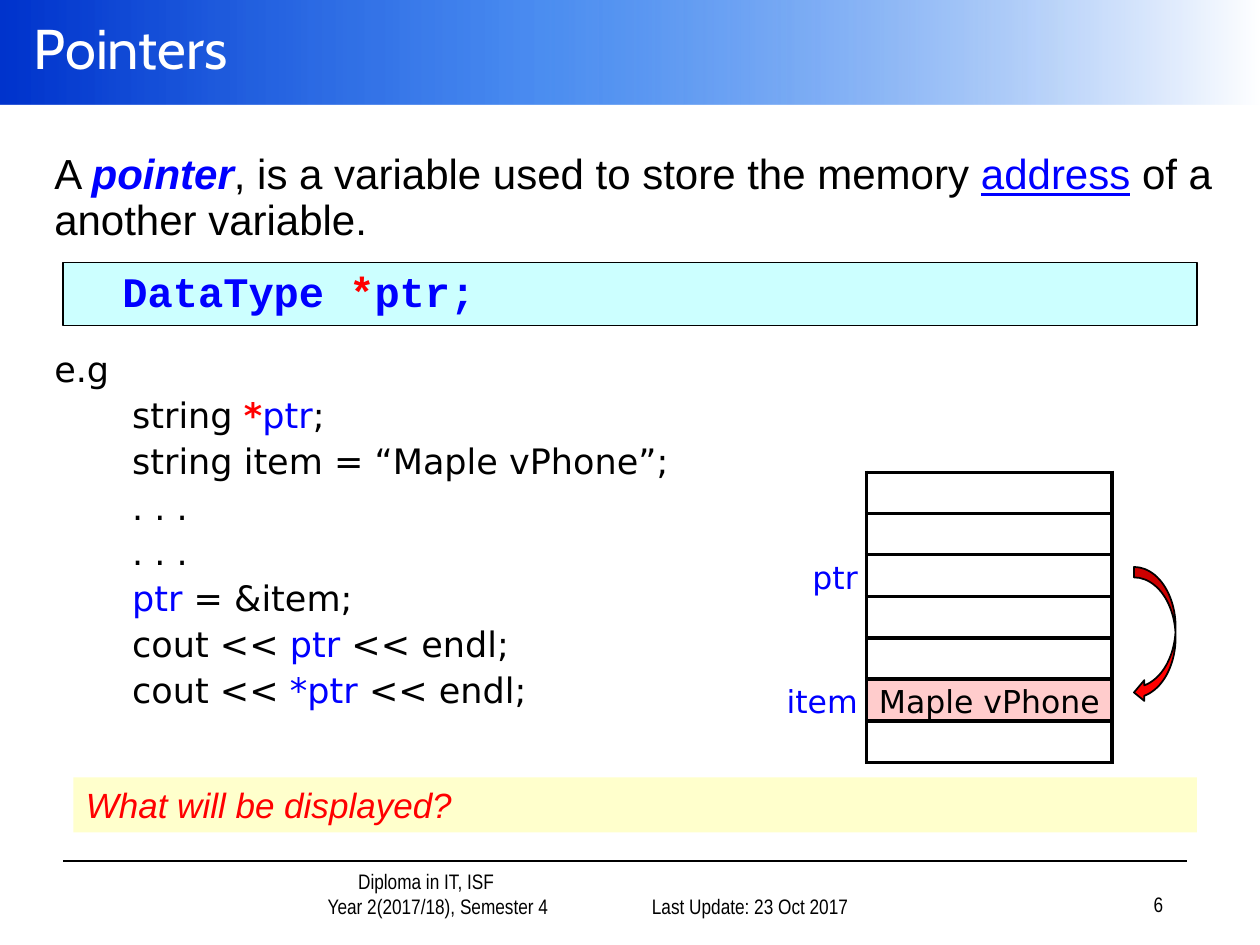
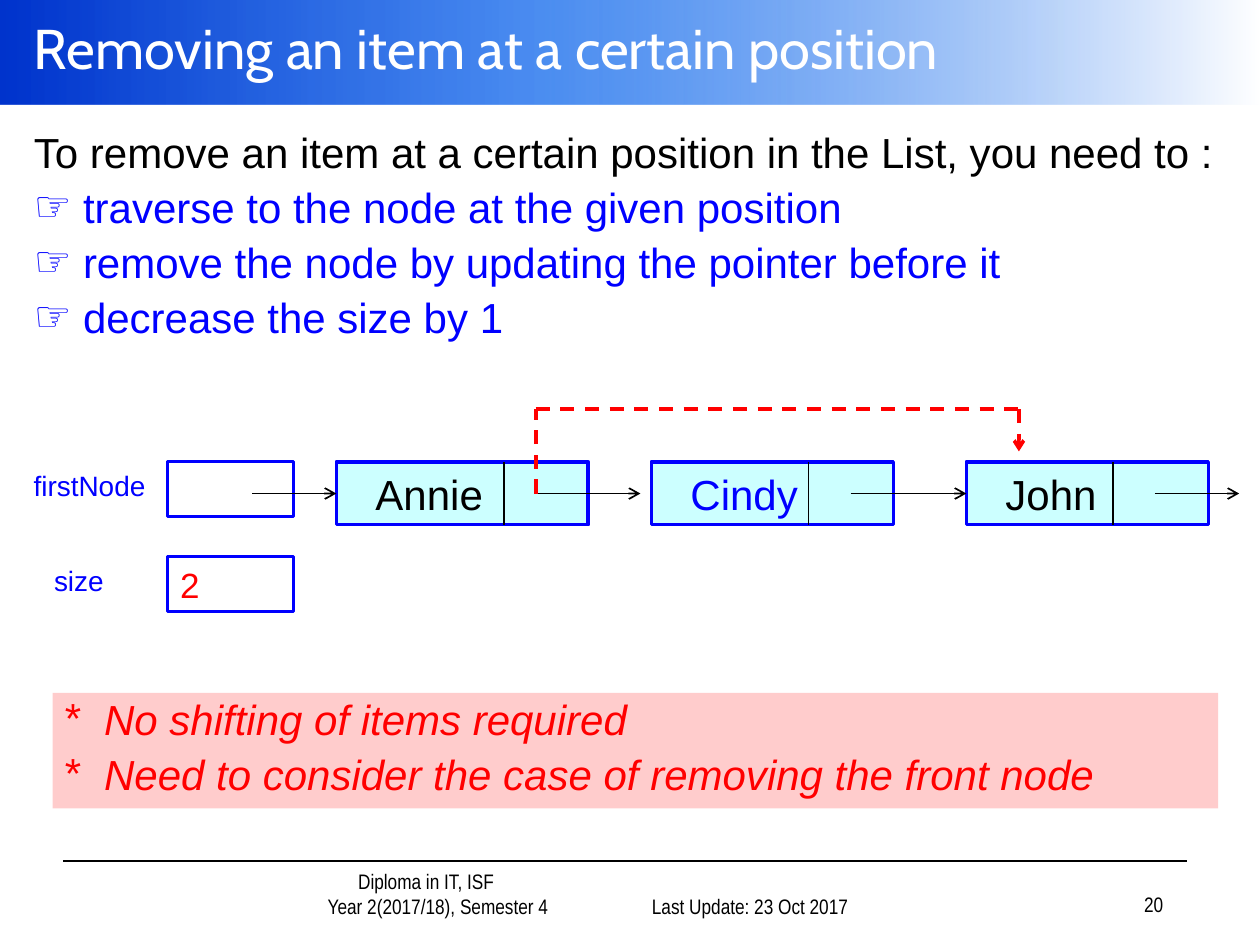
"""Build two lecture slides on pointers and linked lists."""
from lxml import etree
from pptx import Presentation
from pptx.dml.color import RGBColor as RGB
from pptx.enum.dml import MSO_LINE as Dash
from pptx.enum.shapes import MSO_CONNECTOR as Link, MSO_SHAPE as Kind
from pptx.enum.text import MSO_ANCHOR as Anchor, MSO_AUTO_SIZE as Fit, PP_ALIGN as Align
from pptx.oxml import parse_xml
from pptx.oxml.ns import nsdecls, qn
from pptx.util import Cm, Pt

HUES = {"black": "000000", "white": "FFFFFF", "blue": "0000FF", "red": "FF0000",
        "navy": "0033CC", "sky": "005EEB", "aqua": "CCFFFF", "cream": "FFFFCC",
        "pink": "FFCCCC"}
RGBS = {name: RGB.from_string(code) for name, code in HUES.items()}
LEFT = {"alignment": Align.LEFT}
LIST = {**LEFT, "line_spacing": 0.9, "space_before": Pt(5.5)}
CODE = {"marL": Cm(1.57), "space_before": Pt(4.65)}
HEAD = {"name": "Cabin", "size": Pt(32), "tint": "white"}
TEXT = {"name": "Arial", "size": Pt(24), "tint": "black"}
MONO = {"name": "DejaVu Sans", "size": Pt(20), "tint": "black"}
FOOT = {"name": "Arial Narrow", "size": Pt(12), "tint": "black"}
BLUE, RED = {"tint": "blue"}, {"tint": "red"}


def write(frame, rows, font, look=LEFT, anchor=Anchor.MIDDLE):
    frame.word_wrap = True
    frame.auto_size = Fit.NONE
    frame.vertical_anchor = anchor
    for num, row in enumerate(rows):
        para = frame.add_paragraph() if num else frame.paragraphs[0]
        props = para._p.get_or_add_pPr()
        form = {"marL": 0, "indent": 0, **look}
        for part in row:
            if isinstance(part, dict):
                form.update(part)
                continue
            words, extra = part if isinstance(part, tuple) else (part, {})
            run = para.add_run()
            run.text = words
            for key, value in {**font, **extra}.items():
                if key == "tint":
                    run.font.color.rgb = RGBS[value]
                else:
                    setattr(run.font, key, value)
        mark = form.pop("mark", None)
        for key, value in form.items():
            if key in ("marL", "indent"):
                props.set(key, str(int(value)))
            else:
                setattr(para, key, value)
        if mark:
            etree.SubElement(props, qn("a:buFont")).set("typeface", "Arial")
            etree.SubElement(props, qn("a:buChar")).set("char", mark)
        else:
            etree.SubElement(props, qn("a:buNone"))


def draw(slide, kind, box, fill=None, line=None, width=1, tail=False, dash=False):
    box = [Cm(size) for size in box]
    if kind == "line":
        shape = slide.shapes.add_connector(Link.STRAIGHT, *box)
    else:
        shape = slide.shapes.add_shape(kind, *box)
        shape.shadow.inherit = False
        if fill:
            shape.fill.solid()
            shape.fill.fore_color.rgb = RGBS[fill]
        else:
            shape.fill.background()
    if line:
        shape.line.color.rgb = RGBS[line]
        shape.line.width = Pt(width)
    else:
        shape.line.fill.background()
    if dash:
        shape.line.dash_style = Dash.DASH
    if tail:
        etree.SubElement(shape.line._get_or_add_ln(), qn("a:tailEnd")).set("type", "arrow")
    if kind == "line":
        etree.SubElement(shape._element.spPr, qn("a:effectLst"))
    return shape


deck = Presentation()
deck.slide_width, deck.slide_height = Cm(25.4), Cm(19.05)

pages = [
    ("Pointers", "6", (0.84, 2.97, 23.93, 12.7), [
        ["A ", ("pointer", {**BLUE, "bold": True, "italic": True}),
         ", is a variable used to store the memory ",
         ("address", {**BLUE, "underline": True}), " of a another variable."],
        [("e.g", MONO), {"space_before": Pt(61.5)}],
        [("string ", MONO), ("*", {**MONO, **RED, "bold": True}),
         ("ptr", {**MONO, **BLUE}), (";", MONO), CODE],
        [("string item = “Maple vPhone”;", MONO), CODE],
        [(". . .", MONO), CODE],
        [(". . .", MONO), CODE],
        [("ptr", {**MONO, **BLUE}), (" = &item;", MONO), CODE],
        *[[("cout << ", MONO), (name, {**MONO, **BLUE}), (" << endl;", MONO), CODE]
          for name in ("ptr", "*ptr")]]),
    ("Removing an item at a certain position", "20", (0.43, 2.54, 24.56, 5.92), [
        ["To remove an item at a certain position in the List, you need to :"],
        *[[(step, BLUE), {"mark": "☞", "marL": Cm(0.99), "indent": Cm(-0.99)}]
          for step in ("traverse to the node at the given position",
                       "remove the node by updating the pointer before it",
                       "decrease the size by 1")]]),
]
slides = []
for title, page, place, rows in pages:
    slide = deck.slides.add_slide(deck.slide_layouts[1])
    slides.append(slide)
    band = draw(slide, Kind.RECTANGLE, (0, 0, 25.4, 2.11))
    band.fill.gradient()
    band.fill.gradient_angle = 0
    stops = band._element.spPr.find(qn("a:gradFill")).find(qn("a:gsLst"))
    for stop in list(stops):
        stops.remove(stop)
    for spot, hue, alpha in ((0, "navy", 100), (43, "sky", 70), (100, "white", 100)):
        stops.append(parse_xml(
            f'<a:gs {nsdecls("a")} pos="{spot * 1000}"><a:srgbClr val="{HUES[hue]}">'
            f'<a:alpha val="{alpha * 1000}"/></a:srgbClr></a:gs>'))
    slide.shapes._spTree.insert(2, band._element)
    draw(slide, "line", (1.27, 17.35, 23.93, 17.35), line="black")
    for box, lines, align in (
            ((4.27, 17.58, 7.37, 1.07),
             [["Diploma in IT, ISF", {"marL": Cm(1.27)}],
              ["Year 2(2017/18), Semester 4", {"marL": Cm(1.75)}]], Align.CENTER),
            ((12.07, 17.58, 5.28, 1.07), [["Last Update: 23 Oct 2017"]], Align.RIGHT),
            ((18.42, 17.53, 5.28, 1.07), [[page]], Align.RIGHT)):
        note = slide.shapes.add_textbox(*[Cm(size) for size in box])
        write(note.text_frame, lines, FOOT, {"alignment": align}, Anchor.BOTTOM)
    head, body = slide.placeholders
    for shape, box in ((head, (0.43, 0, 24.97, 1.9)), (body, place)):
        for key, size in zip(("left", "top", "width", "height"), box):
            setattr(shape, key, Cm(size))
    write(head.text_frame, [[title]], HEAD)
    write(body.text_frame, rows, TEXT, LIST, Anchor.TOP)

first, second = slides

grid = first.shapes.add_table(7, 2, Cm(14.17), Cm(9.52), Cm(8.25), Cm(5.81))
table = grid.table
table.first_row = table.horz_banding = False
table._tbl.tblPr.find(qn("a:tableStyleId")).text = "{2D5ABB26-0587-4C30-8999-92F81FD0307C}"
for col, width in zip(table.columns, (3.3, 4.95)):
    col.width = Cm(width)
for row in table.rows:
    row.height = Cm(0.83)
    for cell, sides in zip(row.cells, ("R", "LRTB")):
        cell.margin_left = cell.margin_right = Cm(0.18)
        cell.margin_top = cell.margin_bottom = 0
        cell.fill.background()
        for side in reversed(sides):
            cell._tc.get_or_add_tcPr().insert(0, parse_xml(
                f'<a:ln{side} {nsdecls("a")} w="{Pt(2.25)}"><a:solidFill>'
                f'<a:srgbClr val="{HUES["black"]}"/></a:solidFill></a:ln{side}>'))
for row, col, words, hue, align in ((2, 0, "ptr", "blue", Align.RIGHT),
                                    (5, 0, "item", "blue", Align.RIGHT),
                                    (5, 1, "Maple vPhone", "black", Align.CENTER)):
    para = table.cell(row, col).text_frame.paragraphs[0]
    para.alignment, para.line_spacing = align, 1.15
    run = para.add_run()
    run.text = words
    run.font.name, run.font.size = "DejaVu Sans", Pt(18)
    run.font.color.rgb = RGBS[hue]
item = table.cell(5, 1)
item.fill.solid()
item.fill.fore_color.rgb = RGBS["pink"]

draw(first, Kind.CURVED_LEFT_ARROW, (22.86, 11.43, 0.84, 2.74), "red", "black")
rule = draw(first, Kind.RECTANGLE, (1.27, 5.29, 22.86, 1.27), "aqua", "black", 0.75)
write(rule.text_frame, [["DataType ", ("*", RED), "ptr;", {"marL": Cm(0.95)}]],
      {**TEXT, **BLUE, "name": "Courier New", "bold": True}, LIST)
quiz = draw(first, Kind.RECTANGLE, (1.48, 15.67, 22.65, 1.11), "cream")
write(quiz.text_frame, [["What will be displayed?"]],
      {**TEXT, **RED, "size": Pt(20), "italic": True})

for name, hue, left, width, split in (("Annie", "black", 6.78, 5.08, 10.16),
                                      ("Cindy", "blue", 13.13, 4.88, 16.3),
                                      ("John", "black", 19.48, 4.88, 22.43)):
    node = draw(second, Kind.RECTANGLE, (left, 9.31, width, 1.27), "aqua", "blue", 2)
    node.text_frame.margin_left = Cm(0.79)
    write(node.text_frame, [[name]], {**TEXT, "tint": hue})
    draw(second, "line", (split, 9.31, split, 10.58), line="black")
for name, left, top, value in (("firstNode", 0.43, 9.31, ""), ("size", 0.84, 11.22, "2")):
    slot = draw(second, Kind.RECTANGLE, (3.38, top, 2.54, 1.11), None, "blue", 1.5)
    if value:
        write(slot.text_frame, [[value]], {**TEXT, **RED, "size": Pt(20)})
    label = second.shapes.add_textbox(Cm(left), Cm(top), Cm(2.97), Cm(0.94))
    write(label.text_frame, [[name]], {**TEXT, **BLUE, "size": Pt(16)})
for start, end in ((5.08, 6.78), (10.8, 12.91), (17.15, 19.48), (23.28, 24.98)):
    draw(second, "line", (start, 9.95, end, 9.95), line="black", tail=True)
bends = [(10.8, 9.95), (10.8, 8.25), (20.54, 8.25), (20.54, 9.1)]
for start, end in zip(bends, bends[1:]):
    draw(second, "line", (*start, *end), line="red", width=2, tail=end == bends[-1], dash=True)
hint = draw(second, Kind.RECTANGLE, (1.06, 13.97, 23.5, 2.33), "pink")
write(hint.text_frame, [["No shifting of items required"],
                        ["Need to consider the case of removing the front node"]],
      {**TEXT, **RED, "italic": True},
      {**LIST, "mark": "*", "marL": Cm(0.79), "indent": Cm(-0.79)}, Anchor.TOP)

deck.save("out.pptx")
